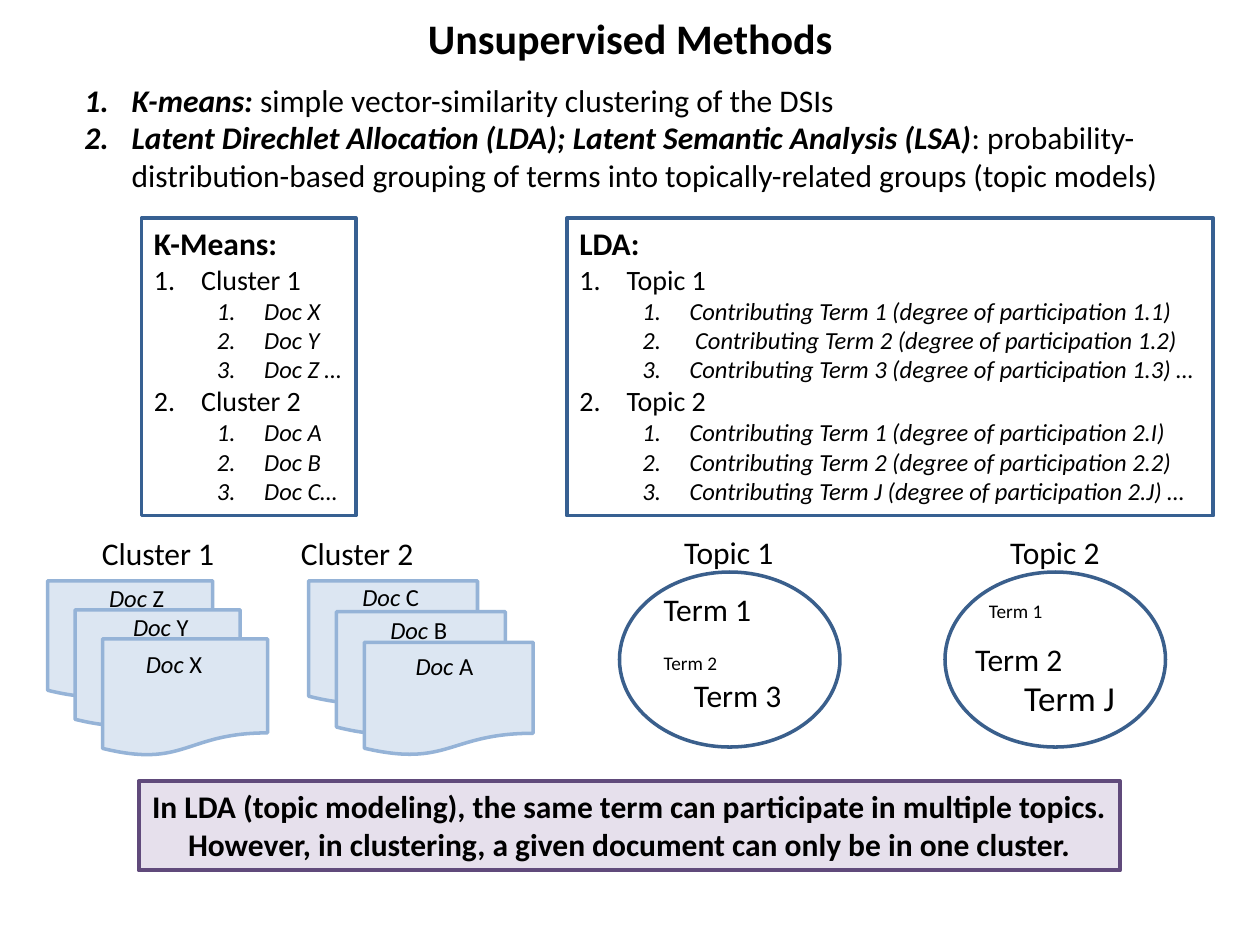
"""Build the slide that compares K-means clusters with LDA topics."""
from dataclasses import dataclass

from lxml.etree import SubElement
from pptx import Presentation
from pptx.dml.color import RGBColor
from pptx.enum.shapes import MSO_SHAPE
from pptx.enum.text import MSO_ANCHOR, MSO_AUTO_SIZE, PP_ALIGN
from pptx.oxml.ns import qn
from pptx.util import Pt


@dataclass(frozen=True)
class Theme:
    font: str = "Calibri"
    ink: str = "000000"
    paper: str = "FFFFFF"
    frame: str = "376092"
    ring: str = "3A5F8C"
    page: str = "DCE6F2"
    edge: str = "95B3D7"
    note: str = "E6E0EC"
    rim: str = "604A7B"
    head: int = 24
    large: int = 20
    main: int = 18
    item: int = 16
    sub: int = 14
    tiny: int = 11


def add_text(par, text, font, size, color, bold=False, italic=False):
    run = par.add_run()
    run.text = text
    run.font.name = font
    run.font.size = Pt(size)
    run.font.bold = bold
    run.font.italic = italic
    run.font.color.rgb = RGBColor.from_string(color)


def number(par, left, level=0):
    par.level = level
    par.space_before = Pt(0)
    props = par._p.get_or_add_pPr()
    props.set("marL", str(Pt(left)))
    props.set("indent", str(-Pt(27)))
    SubElement(props, qn("a:buFont"), typeface="+mj-lt")
    SubElement(props, qn("a:buAutoNum"), type="arabicPeriod")


class Deck:
    def __init__(self, theme):
        self.theme = theme
        self.file = Presentation()
        self.file.slide_width, self.file.slide_height = Pt(720), Pt(540)
        self.slide = self.file.slides.add_slide(self.file.slide_layouts[1])

    def put(self, par, text, size, **form):
        add_text(par, text, font=self.theme.font, size=size, color=self.theme.ink, **form)

    def setup(self, shape, wrap):
        frame = shape.text_frame
        frame.auto_size = MSO_AUTO_SIZE.NONE
        frame.word_wrap = wrap
        frame.vertical_anchor = MSO_ANCHOR.TOP
        return frame

    def place(self, shape, box):
        shape.left, shape.top, shape.width, shape.height = map(Pt, box)

    def title(self, text, box):
        shape = self.slide.shapes.title
        self.place(shape, box)
        par = self.setup(shape, False).paragraphs[0]
        self.put(par, text, self.theme.head, bold=True)

    def body(self, items, box):
        shape = self.slide.placeholders[1]
        self.place(shape, box)
        frame = self.setup(shape, True)
        for row, (name, rest) in enumerate(items):
            par = frame.add_paragraph() if row else frame.paragraphs[0]
            number(par, 27)
            self.put(par, name, self.theme.main, bold=True, italic=True)
            self.put(par, rest, self.theme.main)

    def shape(self, kind, box, fill, line, width=2.0):
        shape = self.slide.shapes.add_shape(kind, *map(Pt, box))
        shape.shadow.inherit = False
        if fill:
            shape.fill.solid()
            shape.fill.fore_color.rgb = RGBColor.from_string(fill)
        else:
            shape.fill.background()
        shape.line.color.rgb = RGBColor.from_string(line)
        shape.line.width = Pt(width)
        return shape

    def label(self, text, box, size, lead=""):
        shape = self.slide.shapes.add_textbox(*map(Pt, box))
        par = self.setup(shape, False).paragraphs[0]
        if lead:
            self.put(par, lead, size, italic=True)
        self.put(par, text, size)

    def panel(self, head, groups, box):
        look = self.theme
        shape = self.shape(MSO_SHAPE.RECTANGLE, box, look.paper, look.frame, 2.25)
        frame = self.setup(shape, False)
        first = frame.paragraphs[0]
        first.alignment = PP_ALIGN.LEFT
        self.put(first, head, look.main, bold=True)
        for name, items in groups.items():
            for level, text in [(0, name)] + [(1, item) for item in items]:
                par = frame.add_paragraph()
                par.alignment = PP_ALIGN.LEFT
                number(par, 63 if level else 27, level)
                self.put(par, text, look.sub if level else look.item, italic=bool(level))

    def stack(self, left, step, sizes, labels):
        look = self.theme
        for row, size in enumerate(sizes):
            spot = left + row * step[0], 331.9 + row * step[1]
            self.shape(MSO_SHAPE.FLOWCHART_DOCUMENT, spot + size, look.page, look.edge)
        for text, x, y in labels:
            self.label(f" {text}", (x, y, 47, 22), look.sub, lead="Doc")

    def topic(self, left, terms):
        look = self.theme
        self.shape(MSO_SHAPE.OVAL, (left, 326.9, 126, 100), None, look.ring)
        for text, x, y, wide, size in terms:
            self.label(text, (x, y, wide, 29), size)

    def banner(self, text, box):
        look = self.theme
        shape = self.shape(MSO_SHAPE.RECTANGLE, box, look.note, look.rim, 2.25)
        par = self.setup(shape, True).paragraphs[0]
        par.alignment = PP_ALIGN.CENTER
        self.put(par, text, look.main, bold=True)


def terms(*marks):
    return [f"Contributing Term {name} (degree of participation {mark})" for name, mark in marks]


def main():
    look = Theme()
    deck = Deck(look)
    deck.title("Unsupervised Methods", (236, 3.6, 248.4, 36))
    deck.body([
        ("K-means:", " simple vector-similarity clustering of the DSIs"),
        ("Latent Direchlet Allocation (LDA); Latent Semantic Analysis (LSA)",
         ": probability-distribution-based grouping of terms into topically-related "
         "groups (topic models)"),
    ], (41, 42.5, 642.2, 72.7))

    one = terms((1, "1.1"), (2, "1.2"), (3, "1.3"))
    two = terms((1, "2.I"), (2, "2.2"), ("J", "2.J"))
    one[1] = " " + one[1]
    one[2] += " …"
    two[2] += " …"
    deck.panel("LDA:", {"Topic 1": one, "Topic 2": two}, (324, 124.6, 369.4, 170))
    deck.panel("K-Means:", {
        "Cluster 1": ["Doc X", "Doc Y", "Doc Z …"],
        "Cluster 2": ["Doc A", "Doc B", "Doc C…"],
    }, (80.9, 124.6, 122.4, 170))

    deck.stack(27.2, (15.7, 16.6), [(94.3, 67)] * 3,
               [("Z", 55.3, 329.8), ("Y", 69, 346.3), ("X", 76.3, 367.2)])
    deck.stack(176.4, (15.9, 17.6), [(96.5, 70.6)] * 2 + [(96.5, 64.8)],
               [("C", 200, 328.8), ("B", 216, 347.8), ("A", 230.4, 368.6)])
    for text, x, y, wide in [("Cluster 1", 51.1, 301.7, 79.2), ("Cluster 2", 164.9, 301.7, 79.2),
                             ("Topic 1", 383.8, 301, 70.6), ("Topic 2", 570.2, 301, 70.6)]:
        deck.label(text, (x, y, wide, 29), look.main)

    deck.topic(354, [("Term 1", 372.2, 333.4, 64.8, look.main),
                     ("Term 2", 372.2, 368.6, 46.8, look.tiny),
                     ("Term 3", 389.5, 383, 64.8, look.main)])
    deck.topic(540, [("Term 1", 558, 339.1, 46.8, look.tiny),
                     ("Term 2", 550.1, 362.2, 64.8, look.main),
                     ("Term J", 578.2, 383, 67, look.large)])
    deck.banner("In LDA (topic modeling), the same term can participate in multiple topics. "
                "However, in clustering, a given document can only be in one cluster.",
                (79.2, 446.4, 560.9, 51))
    deck.file.save("out.pptx")


if __name__ == "__main__":
    main()
